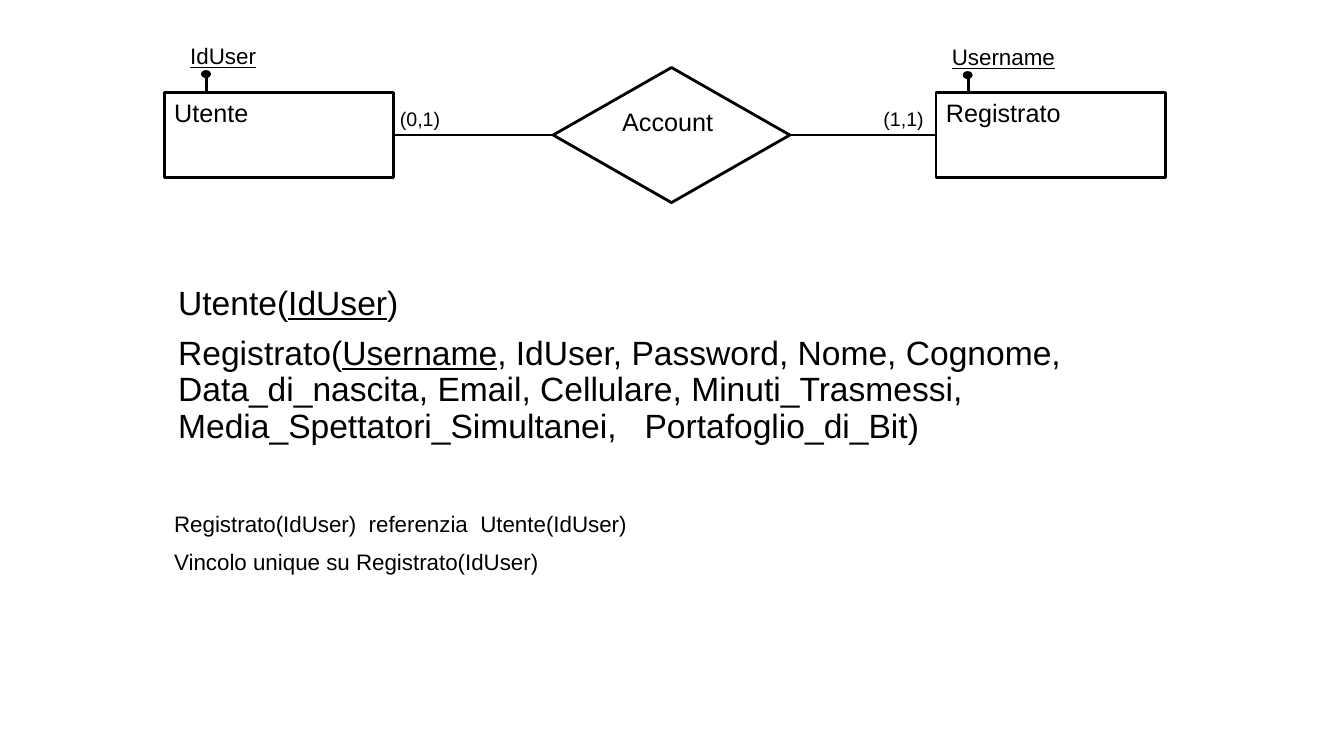
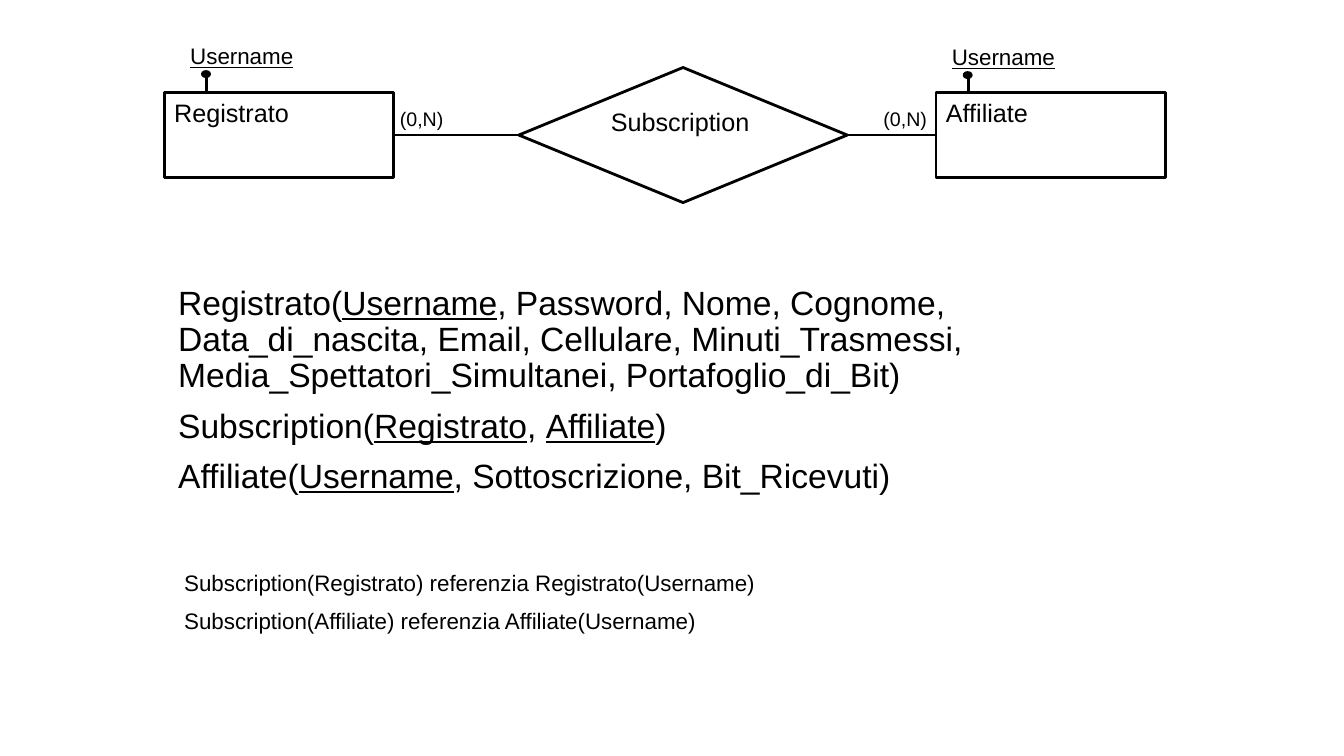
from dataclasses import dataclass

from lxml import etree
from pptx import Presentation
from pptx.dml.color import RGBColor
from pptx.enum.shapes import MSO_CONNECTOR, MSO_SHAPE
from pptx.enum.text import MSO_ANCHOR, PP_ALIGN
from pptx.oxml.ns import qn
from pptx.shapes.autoshape import Shape
from pptx.shapes.connector import Connector
from pptx.slide import Slide
from pptx.util import Inches, Pt

RECT, DIAMOND, OVAL = MSO_SHAPE.RECTANGLE, MSO_SHAPE.DIAMOND, MSO_SHAPE.OVAL
STRAIGHT = MSO_CONNECTOR.STRAIGHT
LEFT, TOP = PP_ALIGN.LEFT, MSO_ANCHOR.TOP

# Shared style
COLORS = {"ink": "000000", "paper": "FFFFFF"}
INK = RGBColor.from_string(COLORS["ink"])
FONT = "Arial"
STROKE = Pt(2)
MIDDLE = 1.34


@dataclass(frozen=True)
class Side:
    """Where an entity, its key pin and its cardinality stand."""
    left: float
    pin: float
    dot: float
    card: float


SIDES = (Side(1.63, 2.05, 0.71, 3.87), Side(9.29, 9.61, 0.72, 8.67))


@dataclass(frozen=True)
class Entity:
    name: str
    key: str
    card: str


@dataclass(frozen=True)
class Notes:
    left: float
    top: float
    height: float
    size: int
    lines: tuple[str, ...]


@dataclass(frozen=True)
class Page:
    pair: tuple[Entity, Entity]
    link: str
    left: float
    width: float
    schema: Notes
    rules: Notes


def write(shape: Shape, *lines: str, size: int, space: float = 1.0,
          gap: int = 0, wrap: bool = True) -> None:
    """Fill a shape with paragraphs; text between asterisks is underlined."""
    frame = shape.text_frame
    frame.word_wrap = wrap
    frame.vertical_anchor = TOP
    for row, line in enumerate(lines):
        para = frame.add_paragraph() if row else frame.paragraphs[0]
        para.alignment = LEFT
        para.line_spacing = space
        if row:
            para.space_before = Pt(gap)
        for part, text in enumerate(line.split("*")):
            if not text:
                continue
            run = para.add_run()
            run.text = text
            run.font.name = FONT
            run.font.size = Pt(size)
            run.font.color.rgb = INK
            run.font.underline = part % 2 == 1


def add_box(slide: Slide, left: float, top: float, width: float,
            height: float) -> Shape:
    return slide.shapes.add_textbox(Inches(left), Inches(top),
                                    Inches(width), Inches(height))


def add_form(slide: Slide, kind: MSO_SHAPE, left: float, top: float,
             width: float, height: float, solid: bool = False) -> Shape:
    form = slide.shapes.add_shape(kind, Inches(left), Inches(top),
                                  Inches(width), Inches(height))
    form.shadow.inherit = False
    if solid:
        form.fill.solid()
        form.fill.fore_color.rgb = INK
    else:
        form.fill.background()
    form.line.color.rgb = INK
    form.line.width = STROKE
    return form


def add_line(slide: Slide, x: float = 0, top: float = 0,
             end: float = 0) -> Connector:
    line = slide.shapes.add_connector(STRAIGHT, Inches(x), Inches(top),
                                      Inches(x), Inches(end))
    line.line.color.rgb = INK
    line.line.width = STROKE
    etree.SubElement(line._element.spPr, qn("a:effectLst"))
    return line


def add_pin(slide: Slide, side: Side, key: str) -> None:
    """Draw the underlined key above its dot and stem."""
    add_line(slide, side.pin, side.dot + 0.2, side.dot + 0.05)
    add_form(slide, OVAL, side.pin - 0.04, side.dot, 0.07, 0.05, solid=True)
    label = add_box(slide, side.pin - 0.26, side.dot - 0.34, 1.67, 0.37)
    write(label, f"*{key}*", size=16)


def add_notes(slide: Slide, notes: Notes) -> None:
    box = add_box(slide, notes.left, notes.top, 10, notes.height)
    write(box, *notes.lines, size=notes.size, space=0.9, gap=10)


def add_page(slide: Slide, page: Page) -> None:
    fill = slide.background.fill
    fill.solid()
    fill.fore_color.rgb = RGBColor.from_string(COLORS["paper"])

    # Relation
    link = add_form(slide, DIAMOND, page.left, MIDDLE - 0.67,
                    page.width, 1.34)
    write(link, page.link, size=18, wrap=False)

    # Entities, joined to the relation
    for side, entity, near, far in zip(SIDES, page.pair, (3, 1), (1, 3)):
        box = add_form(slide, RECT, side.left, MIDDLE - 0.42, 2.28, 0.84)
        write(box, entity.name, size=18)
        line = add_line(slide)
        line.begin_connect(box, near)
        line.end_connect(link, far)
        write(add_box(slide, side.card, 1.01, 0.81, 0.33), entity.card,
              size=14)
        add_pin(slide, side, entity.key)

    # Schema and constraints
    add_notes(slide, page.schema)
    add_notes(slide, page.rules)


PAGES = (
    Page((Entity("Utente", "IdUser", "(0,1)"),
          Entity("Registrato", "Username", "(1,1)")),
         "Account", 5.49, 2.35,
         Notes(1.67, 2.79, 1.74, 24, (
             "Utente(*IdUser*)",
             "Registrato(*Username*, IdUser, Password, Nome, Cognome, "
             "Data_di_nascita, Email, Cellulare, Minuti_Trasmessi, "
             "Media_Spettatori_Simultanei,   Portafoglio_di_Bit)")),
         Notes(1.63, 5.04, 1.18, 16, (
             "Registrato(IdUser)  referenzia  Utente(IdUser)",
             "Vincolo unique su Registrato(IdUser)"))),
    Page((Entity("Registrato", "Username", "(0,N)"),
          Entity("Affiliate", "Username", "(0,N)")),
         "Subscription", 5.15, 3.26,
         Notes(1.67, 2.79, 2.96, 24, (
             "Registrato(*Username*, Password, Nome, Cognome, "
             "Data_di_nascita, Email, Cellulare, Minuti_Trasmessi, "
             "Media_Spettatori_Simultanei, Portafoglio_di_Bit)",
             "Subscription(*Registrato*, *Affiliate*)",
             "Affiliate(*Username*, Sottoscrizione, Bit_Ricevuti)")),
         Notes(1.73, 5.63, 1.18, 16, (
             "Subscription(Registrato) referenzia Registrato(Username)",
             "Subscription(Affiliate) referenzia Affiliate(Username)"))),
)


def main() -> None:
    deck = Presentation()
    deck.slide_width, deck.slide_height = Inches(13.34), Inches(7.5)
    blank = deck.slide_layouts[6]
    for page in PAGES:
        add_page(deck.slides.add_slide(blank), page)
    deck.save("out.pptx")


if __name__ == "__main__":
    main()
